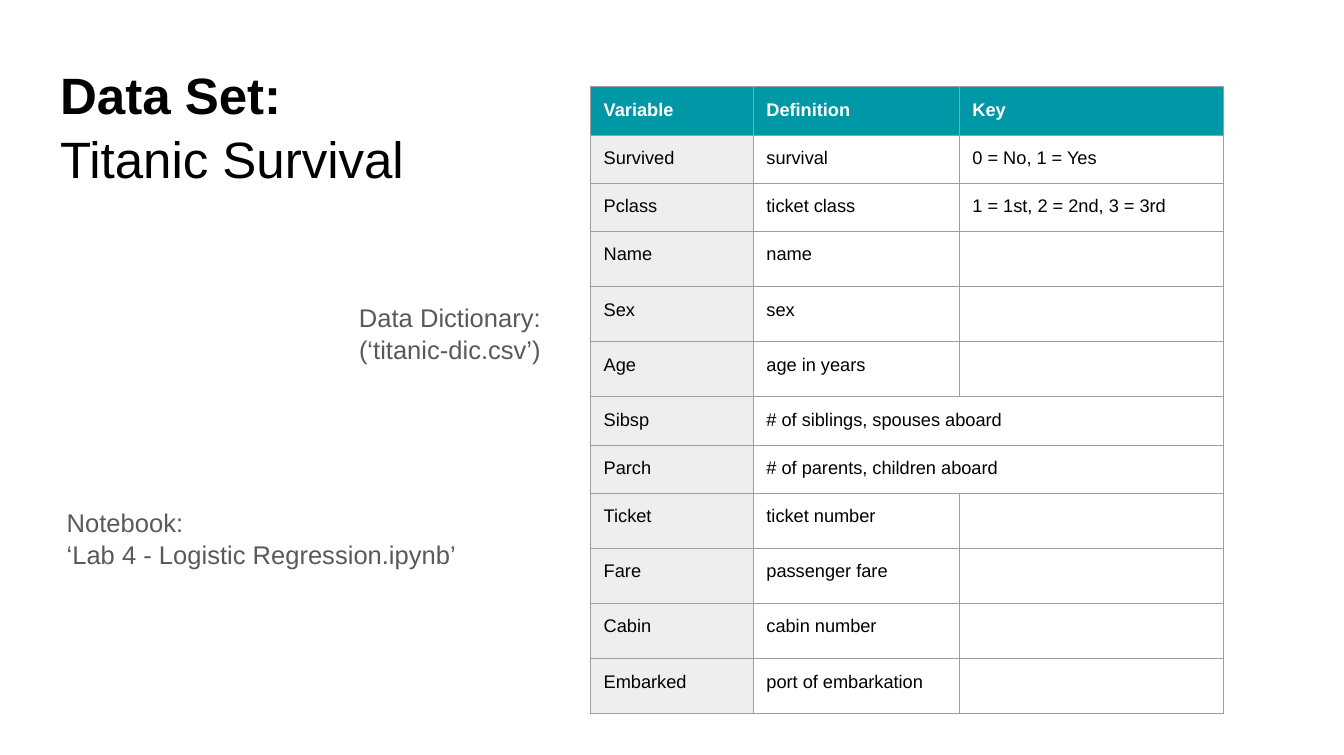
from lxml.etree import SubElement
from pptx import Presentation
from pptx.dml.color import RGBColor
from pptx.enum.text import MSO_ANCHOR, PP_ALIGN
from pptx.oxml.ns import qn
from pptx.util import Inches, Pt

BLACK = RGBColor(0x00, 0x00, 0x00)
WHITE = RGBColor(0xFF, 0xFF, 0xFF)
GREY = RGBColor(0x59, 0x59, 0x59)
TEAL = RGBColor(0x00, 0x97, 0xA7)
LIGHT = RGBColor(0xEE, 0xEE, 0xEE)
BORDER = RGBColor(0x9E, 0x9E, 0x9E)
FONT = "Arial"
INSET = Inches(0.1)

COLUMNS = [1.24, 1.57, 2.01]
ROW, ROW_NO_KEY = 0.35, 0.42
# A row of two entries spans definition and key
DICTIONARY = [
    ("Variable", "Definition", "Key"),
    ("Survived", "survival", "0 = No, 1 = Yes"),
    ("Pclass", "ticket class", "1 = 1st, 2 = 2nd, 3 = 3rd"),
    ("Name", "name", ""),
    ("Sex", "sex", ""),
    ("Age", "age in years", ""),
    ("Sibsp", "# of siblings, spouses aboard"),
    ("Parch", "# of parents, children aboard"),
    ("Ticket", "ticket number", ""),
    ("Fare", "passenger fare", ""),
    ("Cabin", "cabin number", ""),
    ("Embarked", "port of embarkation", ""),
]


def add_run(p, text, size, color, bold=False):
    r = p.add_run()
    r.text = text
    r.font.name, r.font.size, r.font.bold = FONT, Pt(size), bold
    r.font.color.rgb = color


def add_text(s, box, lines, size, color, anchor=MSO_ANCHOR.TOP, align=PP_ALIGN.LEFT):
    """Place (text, bold) lines in a box, one paragraph each."""
    tf = s.shapes.add_textbox(*map(Inches, box)).text_frame
    tf.word_wrap = True
    tf.vertical_anchor = anchor
    tf.margin_left = tf.margin_right = tf.margin_top = tf.margin_bottom = INSET
    for i, (text, bold) in enumerate(lines):
        p = tf.add_paragraph() if i else tf.paragraphs[0]
        p.alignment, p.line_spacing = align, 1.05
        add_run(p, text, size, color, bold)


def style_cell(cell, text, fill, color, bold):
    # Borders come before the fill in the cell properties
    tcPr = cell._tc.get_or_add_tcPr()
    for side in ("a:lnL", "a:lnR", "a:lnT", "a:lnB"):
        ln = SubElement(tcPr, qn(side), w=str(Pt(0.25)))
        SubElement(SubElement(ln, qn("a:solidFill")), qn("a:srgbClr"), val=str(BORDER))
    cell.fill.solid()
    cell.fill.fore_color.rgb = fill
    if text:
        cell.margin_left = cell.margin_right = INSET
        cell.margin_top = cell.margin_bottom = INSET
        add_run(cell.text_frame.paragraphs[0], text, 10, color, bold)


def add_dictionary(s, left, top):
    heights = [ROW if row[-1] else ROW_NO_KEY for row in DICTIONARY]
    table = s.shapes.add_table(
        len(DICTIONARY), len(COLUMNS), Inches(left), Inches(top),
        Inches(sum(COLUMNS)), Inches(sum(heights))).table
    table.horz_banding = False
    for column, width in zip(table.columns, COLUMNS):
        column.width = Inches(width)
    for i, (row, height) in enumerate(zip(DICTIONARY, heights)):
        table.rows[i].height = Inches(height)
        header = i == 0
        for j in range(len(COLUMNS)):
            text = row[j] if j < len(row) else ""
            fill = TEAL if header else WHITE if j else LIGHT
            style_cell(table.cell(i, j), text, fill, WHITE if header else BLACK, header)
        if len(row) == 2:
            table.cell(i, 1).merge(table.cell(i, 2))


def build_slide(prs):
    s = prs.slides.add_slide(prs.slide_layouts[6])
    # Title
    add_text(s, (0.36, 0.36, 3.95, 1.18),
             [("Data Set:", True), ("Titanic Survival", False)],
             28, BLACK, MSO_ANCHOR.MIDDLE)
    # Table label
    add_text(s, (1.94, 2.18, 2.28, 0.71),
             [("Data Dictionary:", False), ("(‘titanic-dic.csv’)", False)],
             14, GREY, MSO_ANCHOR.MIDDLE, PP_ALIGN.RIGHT)
    # Data dictionary
    add_dictionary(s, 4.5, 0.66)
    # Notebook reference
    add_text(s, (0.41, 3.75, 3.43, 0.64),
             [("Notebook:", False), ("‘Lab 4 - Logistic Regression.ipynb’", False)],
             14, GREY)


def main():
    prs = Presentation()
    prs.slide_width, prs.slide_height = Inches(10.24), Inches(5.75)
    build_slide(prs)
    prs.save("out.pptx")


if __name__ == "__main__":
    main()
